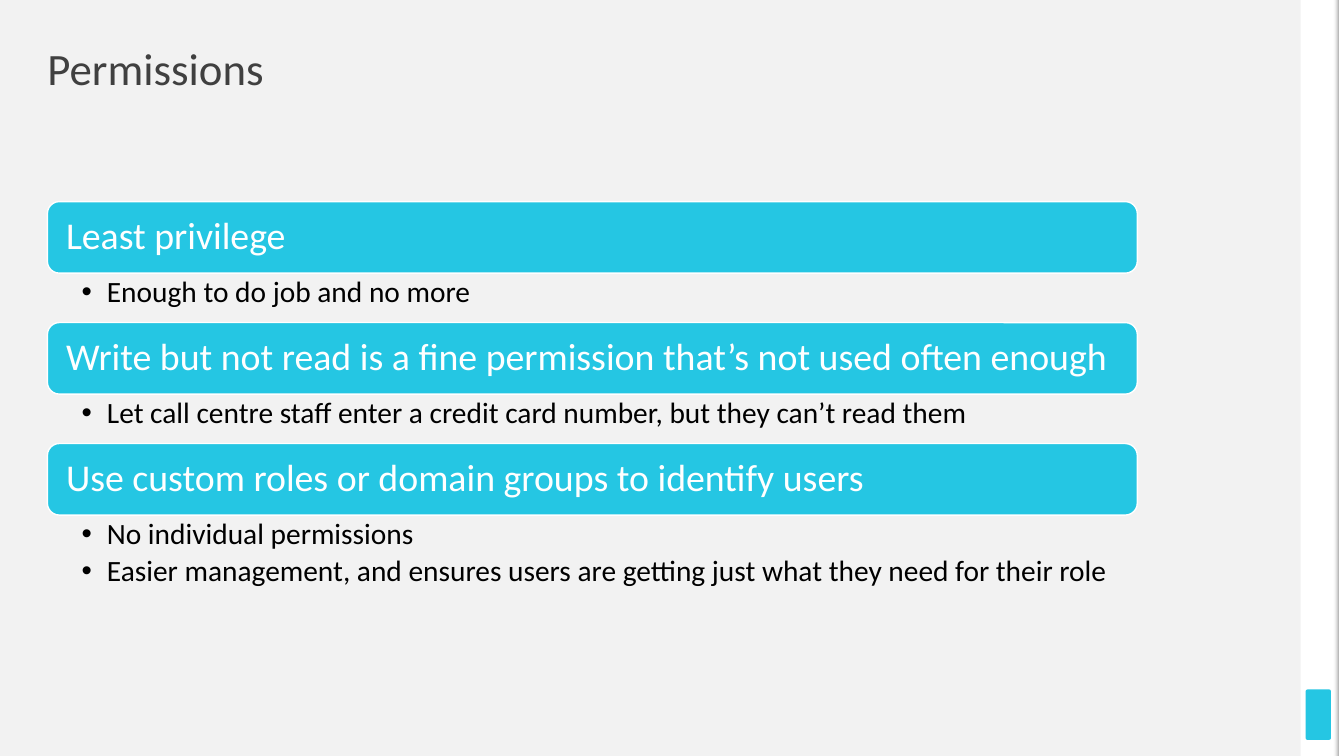
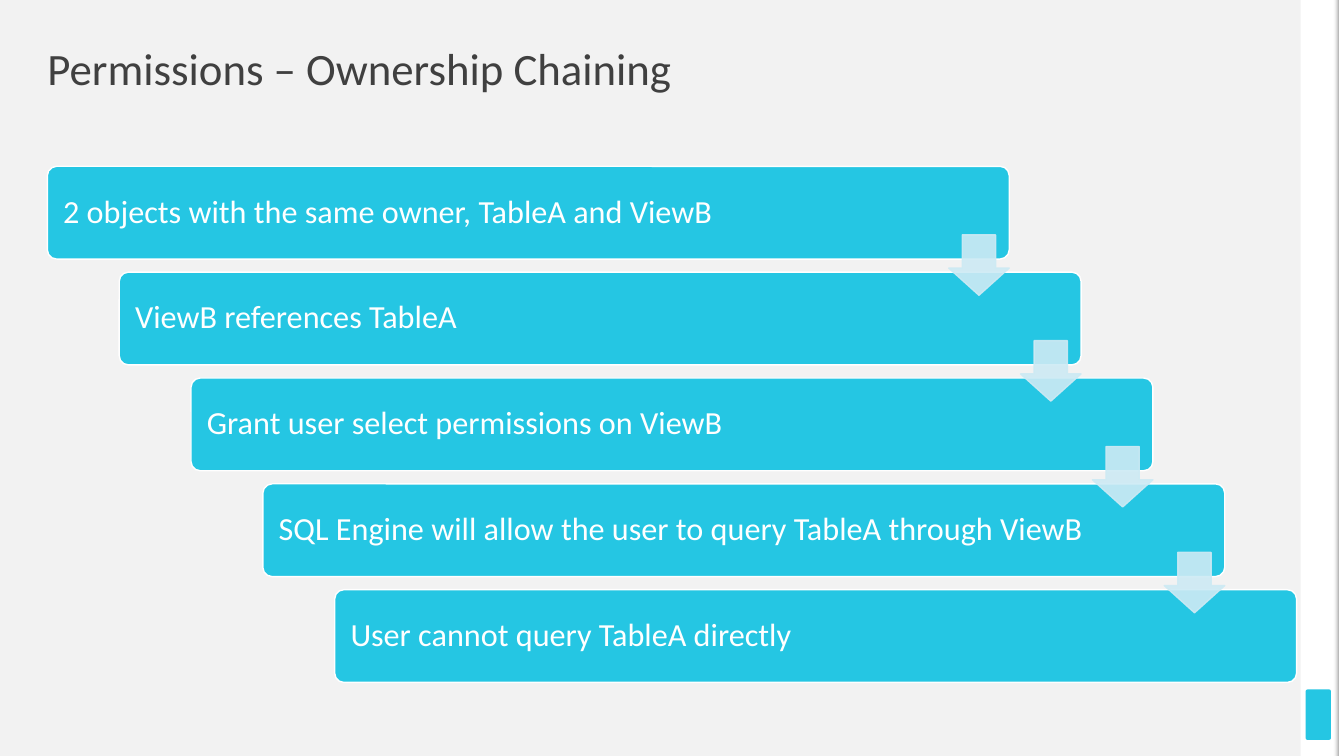
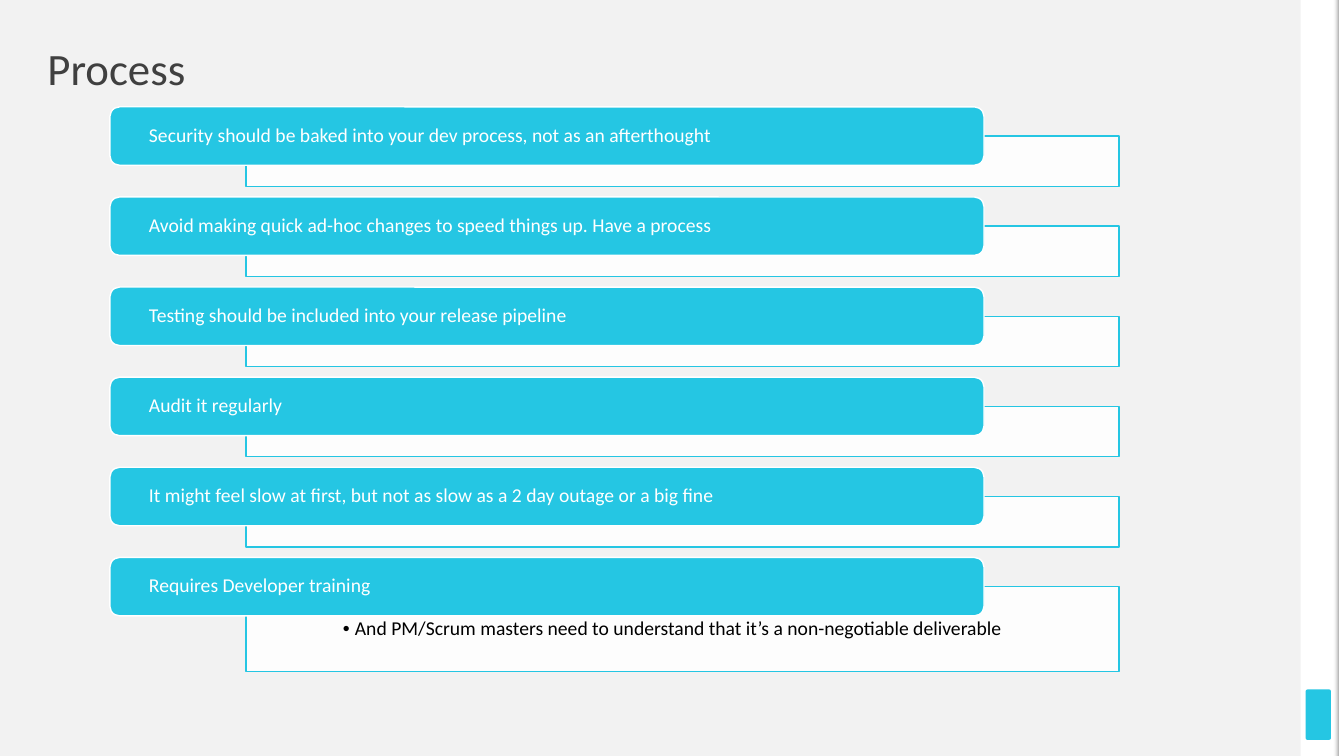
from dataclasses import dataclass

from lxml.etree import SubElement
from pptx import Presentation
from pptx.dml.color import RGBColor
from pptx.enum.shapes import MSO_SHAPE
from pptx.enum.text import MSO_ANCHOR, PP_ALIGN
from pptx.oxml.ns import qn
from pptx.util import Inches, Pt

PERMISSIONS = [
    ("Least privilege", ["Enough to do job and no more"]),
    ("Write but not read is a fine permission that’s not used often enough",
     ["Let call centre staff enter a credit card number, but they can’t read them"]),
    ("Use custom roles or domain groups to identify users",
     ["No individual permissions",
      "Easier management, and ensures users are getting just what they need for their role"]),
]
CHAINING_STEPS = [
    "2 objects with the same owner, TableA and ViewB",
    "ViewB references TableA",
    "Grant user select permissions on ViewB",
    "SQL Engine will allow the user to query TableA through ViewB",
    "User cannot query TableA directly",
]
PROCESS = [
    ("Security should be baked into your dev process, not as an afterthought", []),
    ("Avoid making quick ad-hoc changes to speed things up. Have a process", []),
    ("Testing should be included into your release pipeline", []),
    ("Audit it regularly", []),
    ("It might feel slow at first, but not as slow as a 2 day outage or a big fine", []),
    ("Requires Developer training",
     ["And PM/Scrum masters need to understand that it’s a non-negotiable deliverable"]),
]


@dataclass(frozen=True)
class Theme:
    font: str = "Calibri"
    accent: str = "25C6E3"
    pale_accent: str = "CDEAF4"
    background: str = "F2F2F2"
    edge: str = "A6A6A6"
    white: str = "FFFFFF"
    black: str = "000000"
    title: str = "404040"
    title_size: int = 32
    heading_size: int = 27
    step_size: int = 23
    list_size: int = 21
    small_size: int = 14
    line_width: int = 1
    line_spacing: float = 0.9
    opacity: int = 90


THEME = Theme()


def rgb(value):
    return RGBColor.from_string(value)


def add_box(slide, kind, box, fill, line=None, corner=None):
    shape = slide.shapes.add_shape(kind, *(Inches(length) for length in box))
    shape.shadow.inherit = False
    shape.fill.solid()
    shape.fill.fore_color.rgb = rgb(fill)
    if line:
        shape.line.color.rgb = rgb(line)
        shape.line.width = Pt(THEME.line_width)
    else:
        shape.line.fill.background()
    if corner is not None:
        shape.adjustments[0] = corner
    return shape


def set_opacity(color, percent):
    SubElement(color, qn("a:alpha")).set("val", str(percent * 1000))


def set_frame(frame, insets, anchor):
    frame.word_wrap = True
    frame.vertical_anchor = anchor
    (frame.margin_left, frame.margin_top,
     frame.margin_right, frame.margin_bottom) = (Inches(inset) for inset in insets)


def write(paragraph, text, size, color):
    paragraph.alignment = PP_ALIGN.LEFT
    paragraph.line_spacing = THEME.line_spacing
    run = paragraph.add_run()
    run.text = text
    run.font.name = THEME.font
    run.font.size = Pt(size)
    run.font.color.rgb = rgb(color)


def write_list(frame, items, size, indent, space):
    for index, item in enumerate(items):
        paragraph = frame.add_paragraph() if index else frame.paragraphs[0]
        write(paragraph, item, size, THEME.black)
        paragraph.space_after = Pt(space)
        properties = paragraph._p.get_or_add_pPr()
        properties.set("marL", str(Inches(indent)))
        properties.set("indent", str(-Inches(indent)))
        SubElement(properties, qn("a:buFont")).set("typeface", "Arial")
        SubElement(properties, qn("a:buChar")).set("char", "•")


def add_panel(slide, box, text, size, inset, corner=None):
    panel = add_box(slide, MSO_SHAPE.ROUNDED_RECTANGLE, box, THEME.accent, THEME.white, corner)
    set_frame(panel.text_frame, (inset, 0, inset, 0), MSO_ANCHOR.MIDDLE)
    write(panel.text_frame.paragraphs[0], text, size, THEME.white)


def style_template(presentation, layout, slide):
    master = presentation.slide_master
    master.background.fill.solid()
    master.background.fill.fore_color.rgb = rgb(THEME.background)
    title = layout.placeholders[0]
    title.left, title.top, title.width, title.height = (
        Inches(length) for length in (0.47, 0.47, 12.39, 0.47))
    set_frame(title.text_frame, (0, 0, 0, 0), MSO_ANCHOR.MIDDLE)

    band = add_box(slide, MSO_SHAPE.RECTANGLE, (12.9, 0, 0.39, 7.5), THEME.white)
    tab = add_box(slide, MSO_SHAPE.ROUNDED_RECTANGLE, (12.95, 6.84, 0.25, 0.5),
                  THEME.accent, corner=0.07)
    border = add_box(slide, MSO_SHAPE.RECTANGLE, (13.28, 0, 0.05, 7.5), THEME.white)
    shade = add_box(slide, MSO_SHAPE.RECTANGLE, (13.23, 0, 0.05, 7.5), THEME.edge)
    shade.fill.gradient()
    shade.fill.gradient_angle = 0
    for stop, color in zip(shade.fill.gradient_stops, (THEME.background, THEME.edge)):
        stop.color.rgb = rgb(color)
    set_opacity(shade._element.spPr.xpath(".//a:gs/a:srgbClr")[0], 0)

    for number, shape in enumerate((band, tab, border, shade), start=101):
        shape._element.nvSpPr.cNvPr.set("id", str(number))
        master.element.cSld.spTree.append(shape._element)


def set_title(slide, text):
    write(slide.shapes.title.text_frame.paragraphs[0], text, THEME.title_size, THEME.title)


def build_permissions(slide):
    left, top, width, heading_height = 0.47, 2, 10.81, 0.71
    for heading, items in PERMISSIONS:
        add_panel(slide, (left, top, width, heading_height), heading, THEME.heading_size, 0.15)
        top += heading_height
        list_height = 0.19 + 0.3 * len(items)
        list_box = slide.shapes.add_textbox(
            *(Inches(length) for length in (left, top, width, list_height)))
        set_frame(list_box.text_frame, (0.34, 0.04, 0.21, 0.04), MSO_ANCHOR.TOP)
        write_list(list_box.text_frame, items, THEME.list_size, 0.25, 4)
        top += list_height


def build_chaining(slide):
    left, top, width, height = 0.47, 1.65, 9.54, 0.92
    step_right, step_down = (3.32 - left) / (len(CHAINING_STEPS) - 1), 1.05
    arrow_size, arrow_drop = 0.6, 0.68
    places = [(left + index * step_right, top + index * step_down)
              for index in range(len(CHAINING_STEPS))]
    for (x, y), text in zip(places, CHAINING_STEPS):
        add_panel(slide, (x, y, width, height), text, THEME.step_size, 0.13, 0.1)
    for x, y in places[:-1]:
        arrow = add_box(slide, MSO_SHAPE.DOWN_ARROW,
                        (x + width - arrow_size, y + arrow_drop, arrow_size, arrow_size),
                        THEME.pale_accent, THEME.pale_accent)
        arrow.adjustments[0] = 0.55
        arrow.adjustments[1] = 0.45
        for color in arrow._element.spPr.xpath(".//a:srgbClr"):
            set_opacity(color, THEME.opacity)


def build_process(slide):
    first_top, last_top = 1.06, 5.53
    pitch = (last_top - first_top) / (len(PROCESS) - 1)
    for index, (heading, items) in enumerate(PROCESS):
        top = first_top + index * pitch
        detail = add_box(slide, MSO_SHAPE.RECTANGLE,
                         (2.44, top + 0.29, 8.66, 0.84 if items else 0.5),
                         THEME.white, THEME.accent)
        set_opacity(detail._element.spPr.xpath("./a:solidFill/a:srgbClr")[0], THEME.opacity)
        set_frame(detail.text_frame, (0.96, 0.32, 0.96, 0.11), MSO_ANCHOR.TOP)
        write_list(detail.text_frame, items, THEME.small_size, 0.12, 2)
        add_panel(slide, (1.09, top, 8.67, 0.58), heading, THEME.small_size, 0.36)


def main():
    presentation = Presentation()
    presentation.slide_width, presentation.slide_height = Inches(13.33), Inches(7.5)
    layout = presentation.slide_layouts[5]
    pages = [
        ("Permissions", build_permissions),
        ("Permissions – Ownership Chaining", build_chaining),
        ("Process", build_process),
    ]
    for index, (title, build) in enumerate(pages):
        slide = presentation.slides.add_slide(layout)
        if index == 0:
            style_template(presentation, layout, slide)
        set_title(slide, title)
        build(slide)
    presentation.save("out.pptx")


if __name__ == "__main__":
    main()
